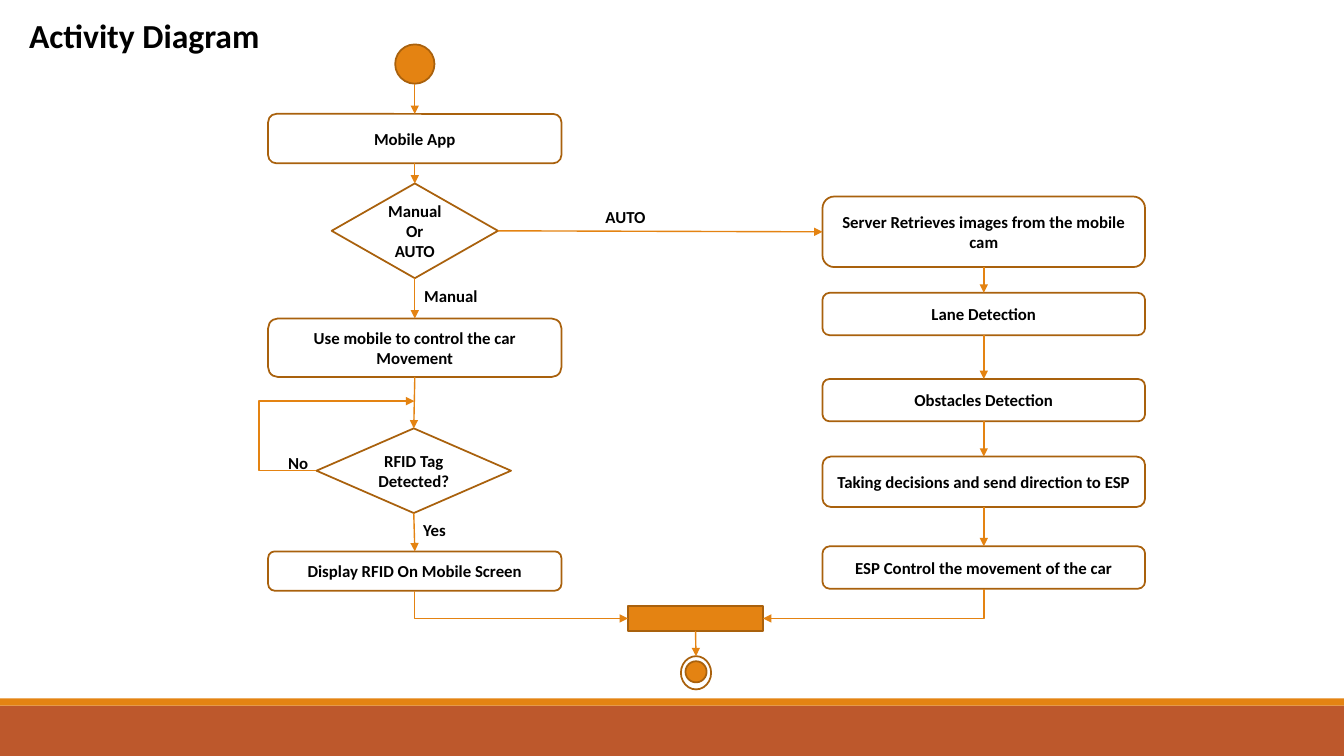
from itertools import pairwise

from lxml.etree import SubElement
from pptx import Presentation
from pptx.dml.color import RGBColor
from pptx.enum.shapes import MSO_CONNECTOR as Line, MSO_SHAPE as Kind
from pptx.enum.text import MSO_ANCHOR as Anchor, MSO_AUTO_SIZE as Fit, PP_ALIGN as Align
from pptx.oxml.ns import qn
from pptx.util import Inches, Pt

WHITE = RGBColor(0xFF, 0xFF, 0xFF)
BLACK = RGBColor(0, 0, 0)
ORANGE = RGBColor(0xE4, 0x83, 0x12)
BROWN = RGBColor(0xA9, 0x61, 0x0D)
RUST = RGBColor(0xBD, 0x58, 0x2C)

COLS, ROWS = 133.33, 75  # grid cells of a tenth of an inch
TOP, LEFT, BOTTOM, RIGHT = range(4)


def cells(*counts):
    return [Inches(n / 10) for n in counts]


class Chart:
    """Style and current slide of the flow chart; lengths are grid cells."""

    def __init__(self, deck):
        self.font, self.size = "Calibri", 12
        self.slide = deck.slides.add_slide(deck.slide_layouts[6])
        self.shapes = self.slide.shapes

    def letter(self, frame, text, align, size):
        frame.word_wrap = True
        frame.text = text
        for para in frame.paragraphs:
            para.alignment = align
            font = para.font
            font.name, font.size, font.bold = self.font, Pt(size), True
            font.color.rgb = BLACK

    def shape(self, kind, box, text="", fill=WHITE, edge=BROWN):
        item = self.shapes.add_shape(kind, *cells(*box))
        item.shadow.inherit = False
        if fill is None:
            item.fill.background()
        else:
            item.fill.solid()
            item.fill.fore_color.rgb = fill
        if edge is None:
            item.line.fill.background()
        else:
            item.line.color.rgb = edge
            item.line.width = Pt(1.25)
        if text:
            item.text_frame.vertical_anchor = Anchor.MIDDLE
            self.letter(item.text_frame, text, Align.CENTER, self.size)
        return item

    def label(self, box, text, align=Align.LEFT, size=None):
        frame = self.shapes.add_textbox(*cells(*box)).text_frame
        self.letter(frame, text, align, size or self.size)
        frame.auto_size = Fit.SHAPE_TO_FIT_TEXT

    def arrow(self, start, end, kind=Line.STRAIGHT):
        line = self.shapes.add_connector(kind, *cells(*start, *end))
        line.line.color.rgb = ORANGE
        line.line.width = Pt(1)
        props = line.element.spPr
        SubElement(props.get_or_add_ln(), qn("a:tailEnd"), type="triangle")
        SubElement(props, qn("a:effectLst"))
        return line

    def link(self, first, second, out=BOTTOM, into=TOP):
        line = self.arrow((0, 0), (0, 0))
        line.begin_connect(first, out)
        line.end_connect(second, into)

    def loop(self, start, end, bend):
        """Three-part elbow; bend is the share of the width where it turns."""
        geom = self.arrow(start, end, Line.ELBOW).element.spPr.prstGeom
        guide = f"val {round(bend * 100000)}"
        SubElement(geom.get_or_add_avLst(), qn("a:gd"), name="adj1", fmla=guide)

    def corner(self, start, end):
        """Elbow that goes down, then sideways: a turned two-part connector."""
        (x, y), (far, low) = start, end
        wide, high = abs(far - x), low - y
        left, top = (x + far - high) / 2, (y + low - wide) / 2
        line = self.arrow((left, top), (left + high, top + wide), Line.ELBOW)
        props = line.element.spPr
        props.prstGeom.set("prst", "bentConnector2")
        turn = 270 if far > x else 90
        props.xfrm.set("rot", str(turn * 60000))
        if far > x:
            props.xfrm.set("flipH", "1")


def main():
    deck = Presentation()
    deck.slide_width, deck.slide_height = cells(COLS, ROWS)
    chart = Chart(deck)

    # Footer bands and title
    chart.shape(Kind.RECTANGLE, (0, 70, COLS, 5), fill=RUST, edge=None)
    chart.shape(Kind.RECTANGLE, (0, 69.3, COLS, 0.7), fill=ORANGE, edge=None)
    chart.label((1.9, 1, 46.5, 5), "Activity Diagram", size=24)

    # Manual branch
    def step(top, high, text):
        return chart.shape(Kind.ROUNDED_RECTANGLE, (26.6, top, 29.1, high), text)

    chart.shape(Kind.FLOWCHART_CONNECTOR, (39.2, 4.4, 3.9, 3.9), fill=ORANGE)
    app = step(11.3, 4.9, "Mobile App")
    mode = chart.shape(Kind.DIAMOND, (32.9, 18.2, 16.5, 9.4), "Manual\nOr\nAUTO")
    drive = step(31.6, 5.8, "Use mobile to control the car Movement")
    tag = chart.shape(Kind.DIAMOND, (31.4, 42.5, 19.3, 8.4),
                      "RFID Tag Detected?", fill=None)
    show = step(54.7, 3.9, "Display RFID On Mobile Screen")
    chart.arrow((41.15, 8.3), (41.15, 11.3)).end_connect(app, TOP)
    for pair in pairwise((app, mode, drive, tag, show)):
        chart.link(*pair)
    chart.loop((31.4, 46.7), (41.1, 39.8), -0.59)

    # Auto branch
    tasks = [
        (19.5, 7, "Server Retrieves images from the mobile cam"),
        (29.05, 4.2, "Lane Detection"),
        (37.6, 4.2, "Obstacles Detection"),
        (45.3, 5, "Taking decisions and send direction to ESP"),
        (54.2, 4.2, "ESP Control the movement of the car"),
    ]
    auto = [chart.shape(Kind.ROUNDED_RECTANGLE, (81.6, top, 32, high), text)
            for top, high, text in tasks]
    for pair in pairwise(auto):
        chart.link(*pair)
    chart.link(mode, auto[0], RIGHT, LEFT)

    # Branch labels
    chart.label((53.8, 20, 16.5, 3), "AUTO", Align.CENTER)
    chart.label((41.1, 27.9, 11.4, 3), "Manual")
    chart.label((41, 51.1, 8.2, 3), "Yes")
    chart.label((27.6, 44.4, 8.2, 3), "No")

    # Join and end point
    join = chart.shape(Kind.RECTANGLE, (62.3, 60.1, 13.4, 2.5), fill=ORANGE)
    ring = chart.shape(Kind.FLOWCHART_CONNECTOR, (67.55, 65.1, 3, 3.3), fill=None)
    chart.shape(Kind.FLOWCHART_CONNECTOR, (68, 65.6, 2.1, 2.1), fill=ORANGE)
    chart.corner((41.15, 58.6), (62.3, 61.35))
    chart.corner((97.6, 58.4), (75.7, 61.35))
    chart.link(join, ring)

    deck.save("out.pptx")


if __name__ == "__main__":
    main()
